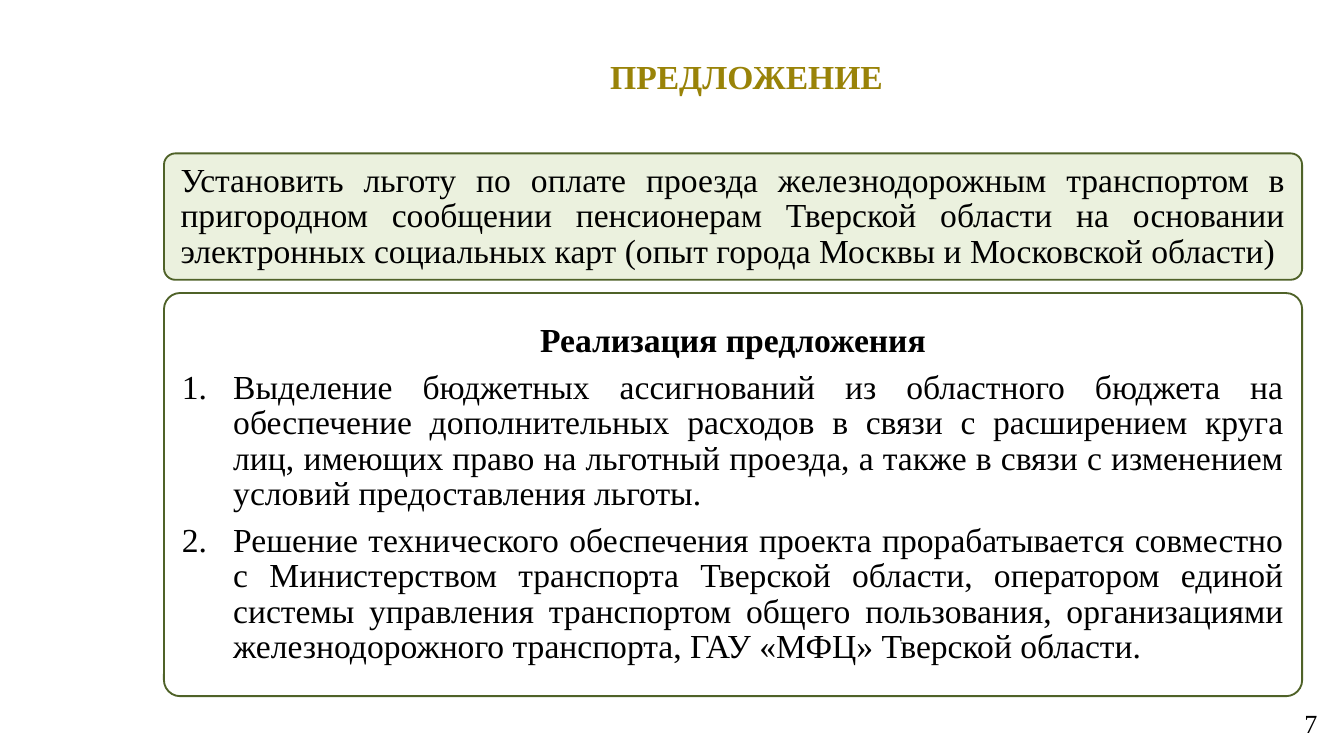
from lxml import etree
from pptx import Presentation
from pptx.dml.color import RGBColor
from pptx.enum import shapes, text
from pptx.oxml import ns
from pptx.util import Cm, Pt

FONT = "Times New Roman"
BLACK, GOLD, GREEN, PALE_GREEN = "000000", "998308", "4F6228", "EBF1DE"
LEFT, WIDTH = 3.1, 21.51
INDENT = Cm(0.97)

TITLE = "ПРЕДЛОЖЕНИЕ"
PROPOSAL = (
    "Установить льготу по оплате проезда железнодорожным транспортом в "
    "пригородном сообщении пенсионерам Тверской области на основании "
    "электронных социальных карт (опыт города Москвы и Московской области)"
)
HEADING = "Реализация предложения"
STEPS = [
    "Выделение бюджетных ассигнований из областного бюджета на обеспечение "
    "дополнительных расходов в связи с расширением круга лиц, имеющих право "
    "на льготный проезда, а также в связи с изменением условий "
    "предоставления льготы.",
    "Решение технического обеспечения проекта прорабатывается совместно с "
    "Министерством транспорта Тверской области, оператором единой системы "
    "управления транспортом общего пользования, организациями "
    "железнодорожного транспорта, ГАУ «МФЦ» Тверской области.",
]
PAGE_NUMBER = "7"


def color(value):
    return RGBColor.from_string(value)


def write(paragraph, words, align, size=18, ink=BLACK, bold=False, spacing=19, after=0):
    paragraph.alignment = align
    paragraph.line_spacing = Pt(spacing)
    paragraph.space_before = Pt(0)
    paragraph.space_after = Pt(after)
    run = paragraph.add_run()
    run.text = words
    run.font.name = FONT
    run.font.size = Pt(size)
    run.font.bold = bold
    run.font.color.rgb = color(ink)


def number(paragraph):
    """Turn the paragraph into an automatically numbered item."""
    properties = paragraph._p.get_or_add_pPr()
    properties.set("marL", str(INDENT))
    properties.set("indent", str(-INDENT))
    etree.SubElement(properties, ns.qn("a:buAutoNum"), type="arabicPeriod")


def add_panel(slide, top, height, corner, fill=None):
    panel = slide.shapes.add_shape(
        shapes.MSO_SHAPE.ROUNDED_RECTANGLE, Cm(LEFT), Cm(top), Cm(WIDTH), Cm(height))
    panel.adjustments[0] = corner
    panel.shadow.inherit = False
    if fill:
        panel.fill.solid()
        panel.fill.fore_color.rgb = color(fill)
    else:
        panel.fill.background()
    panel.line.color.rgb = color(GREEN)
    panel.line.width = Pt(1)
    frame = panel.text_frame
    frame.word_wrap = True
    frame.vertical_anchor = text.MSO_ANCHOR.MIDDLE
    return frame


def main():
    presentation = Presentation()
    presentation.slide_width, presentation.slide_height = Cm(25.4), Cm(14.29)
    slide = presentation.slides.add_slide(presentation.slide_layouts[5])
    align = text.PP_ALIGN

    title = slide.shapes.title
    title.left, title.top, title.width, title.height = Cm(2.82), Cm(1.09), Cm(22.58), Cm(0.84)
    frame = title.text_frame
    frame.margin_left = frame.margin_right = Cm(0.18)
    frame.margin_top = frame.margin_bottom = Cm(0.1)
    frame.vertical_anchor = text.MSO_ANCHOR.TOP
    frame.auto_size = text.MSO_AUTO_SIZE.NONE
    write(frame.paragraphs[0], TITLE, align.CENTER, ink=GOLD, bold=True, spacing=18)

    proposal = add_panel(slide, 2.9, 2.39, 0.09, PALE_GREEN)
    write(proposal.paragraphs[0], PROPOSAL, align.JUSTIFY)

    plan = add_panel(slide, 5.54, 7.62, 0.04)
    write(plan.paragraphs[0], HEADING, align.CENTER, bold=True, after=6)
    for step in STEPS:
        paragraph = plan.add_paragraph()
        write(paragraph, step, align.JUSTIFY, after=6)
        number(paragraph)

    page = slide.shapes.add_textbox(Cm(19.23), Cm(13.16), Cm(5.92), Cm(1.02)).text_frame
    page.word_wrap = True
    page.vertical_anchor = text.MSO_ANCHOR.MIDDLE
    write(page.paragraphs[0], PAGE_NUMBER, align.RIGHT, size=14, spacing=17)

    presentation.save("out.pptx")


if __name__ == "__main__":
    main()
